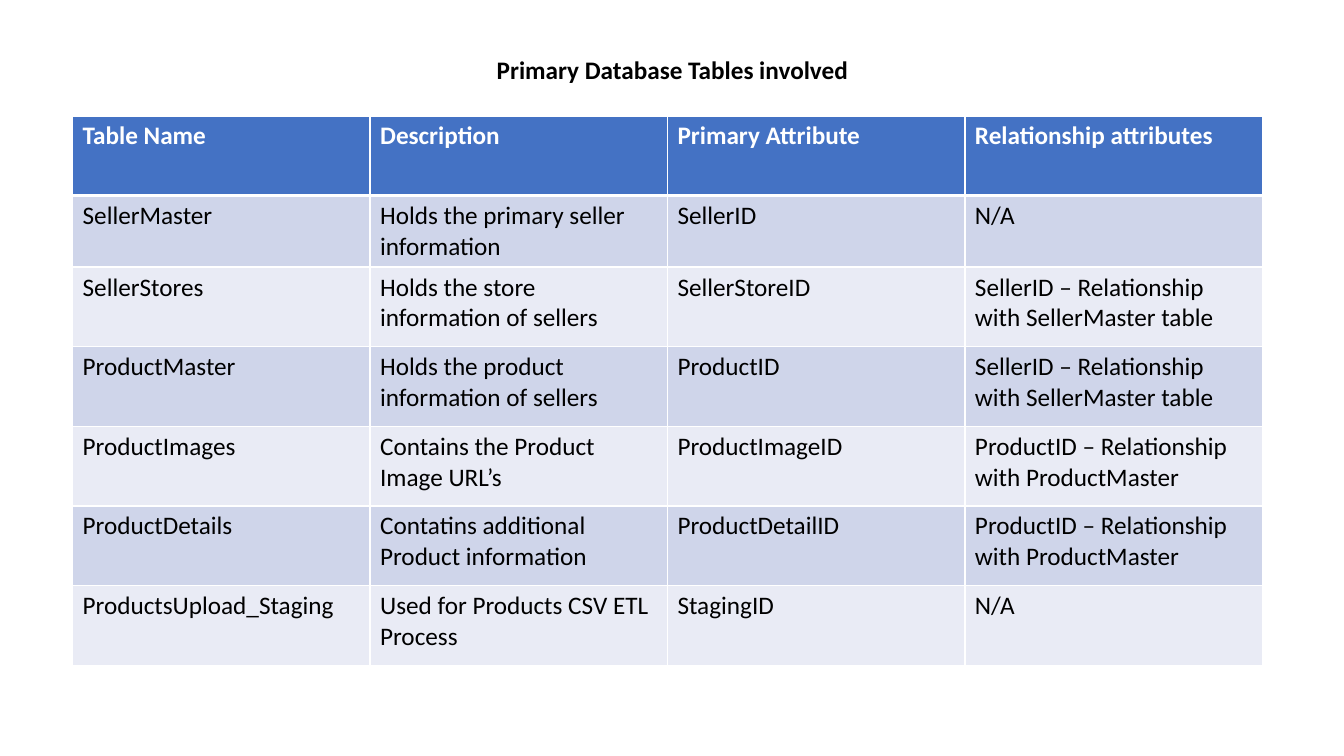
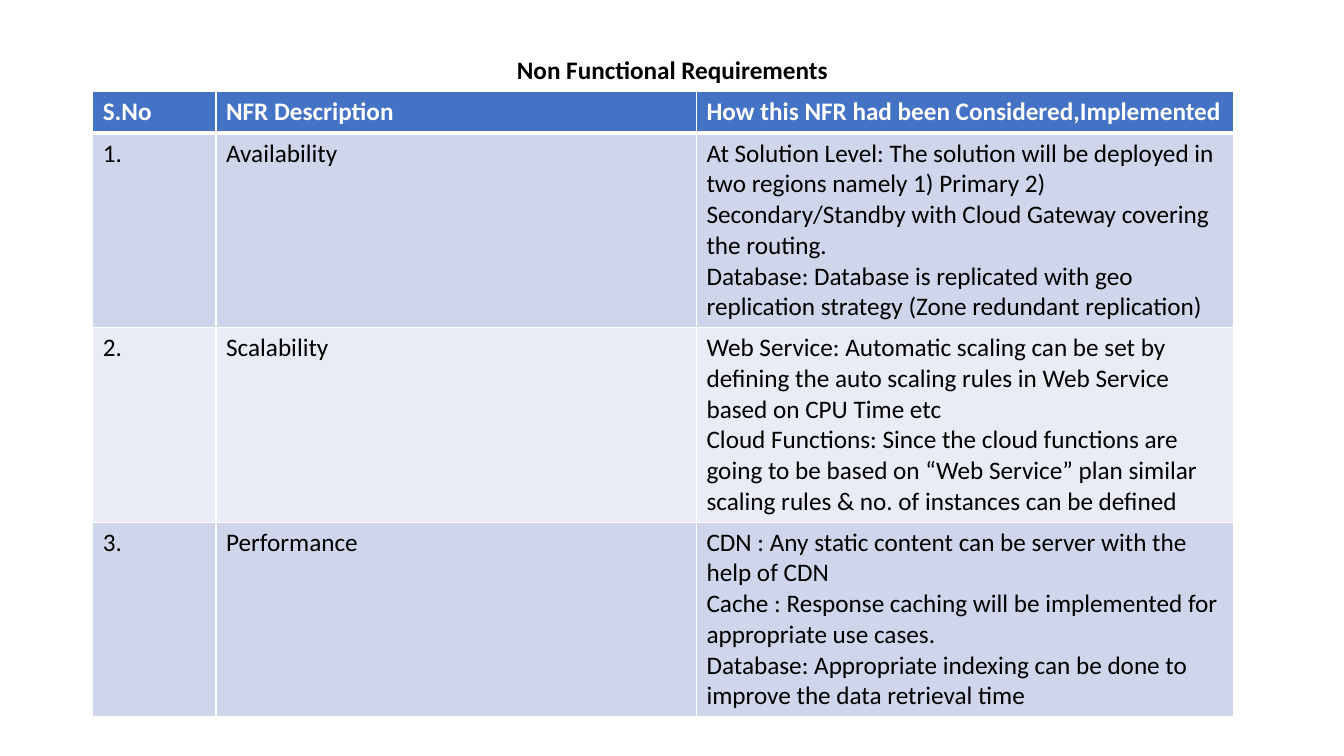
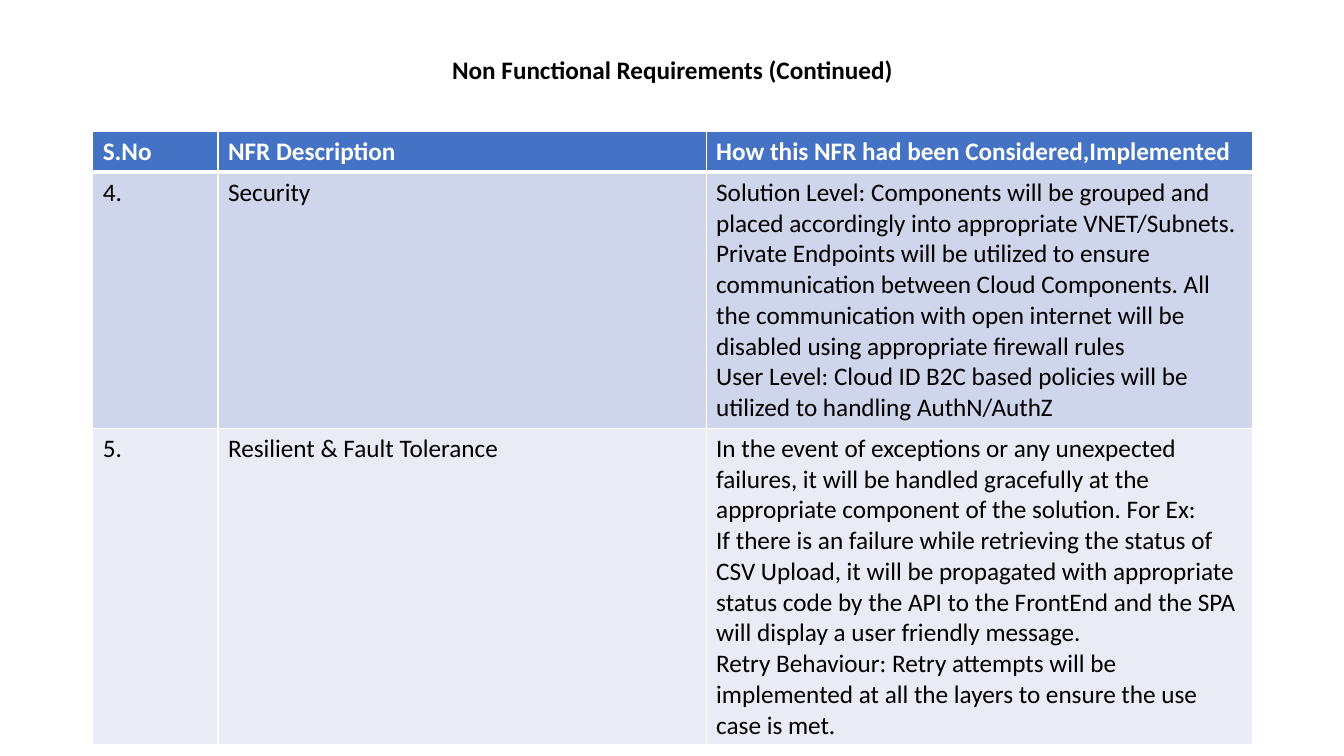
from dataclasses import dataclass

from lxml import etree
from pptx import Presentation
from pptx import util as u
from pptx.dml.color import RGBColor
from pptx.enum import text
from pptx.oxml import ns


@dataclass(frozen=True)
class Theme:
    font: str = "Calibri"
    size: int = 18
    ink: str = "000000"
    paper: str = "FFFFFF"
    header: str = "4472C4"
    bands: tuple = ("CFD5EA", "E9EBF5")
    rule: float = 1
    header_rule: float = 3


THEME = Theme()
SLIDE_W, SLIDE_H = 13.33, 7.5
TITLE_BOX = (0.92, 0.4, 11.5, 0.61)
HEADER_H = 0.41
NFR_SHARES = (0.108, 0.421, 0.471)
NFR_HEADER = ("S.No", "NFR Description", "How this NFR had been Considered,Implemented")

DATABASE_ROWS = [
    ("Table Name", "Description", "Primary Attribute", "Relationship attributes"),
    ("SellerMaster", "Holds the primary seller information", "SellerID", "N/A"),
    ("SellerStores", "Holds the store information of sellers", "SellerStoreID",
     "SellerID – Relationship with SellerMaster table"),
    ("ProductMaster", "Holds the product information of sellers", "ProductID",
     "SellerID – Relationship with SellerMaster table"),
    ("ProductImages", "Contains the Product Image URL’s", "ProductImageID",
     "ProductID – Relationship with ProductMaster"),
    ("ProductDetails", "Contatins additional Product information", "ProductDetailID",
     "ProductID – Relationship with ProductMaster"),
    ("ProductsUpload_Staging", "Used for Products CSV ETL Process", "StagingID", "N/A"),
]

NFR_ROWS = [
    NFR_HEADER,
    ("1.", "Availability",
     "At Solution Level: The solution will be deployed in two regions namely 1) Primary "
     "2) Secondary/Standby with Cloud Gateway covering the routing.\n"
     "Database: Database is replicated with geo replication strategy "
     "(Zone redundant replication)"),
    ("2.", "Scalability",
     "Web Service: Automatic scaling can be set by defining the auto scaling rules in "
     "Web Service based on CPU Time etc\n"
     "Cloud Functions: Since the cloud functions are going to be based on “Web Service” "
     "plan similar scaling rules & no. of instances can be defined"),
    ("3.", "Performance",
     "CDN : Any static content can be server with the help of CDN\n"
     "Cache : Response caching will be implemented for appropriate use cases.\n"
     "Database: Appropriate indexing can be done to improve the data retrieval time"),
]

NFR_CONTINUED_ROWS = [
    NFR_HEADER,
    ("4.", "Security",
     "Solution Level: Components will be grouped and placed accordingly into appropriate "
     "VNET/Subnets.\n"
     "Private Endpoints will be utilized to ensure communication between Cloud Components. "
     "All the communication with open internet will be disabled using appropriate "
     "firewall rules\n"
     "User Level: Cloud ID B2C based policies will be utilized to handling AuthN/AuthZ"),
    ("5.", "Resilient & Fault Tolerance",
     "In the event of exceptions or any unexpected failures, it will be handled gracefully "
     "at the appropriate component of the solution. For Ex:\n"
     "If there is an failure while retrieving the status of CSV Upload, it will be "
     "propagated with appropriate status code by the API to the FrontEnd and the SPA will "
     "display a user friendly message.\n"
     "Retry Behaviour: Retry attempts will be implemented at all the layers to ensure the "
     "use case is met."),
]


def write(frame, content, color=THEME.ink, bold=False, align=None, spacing=None):
    """Fill a text frame, one paragraph per line of content."""
    frame.word_wrap = True
    for index, line in enumerate(content.split("\n")):
        paragraph = frame.add_paragraph() if index else frame.paragraphs[0]
        paragraph.alignment = align
        paragraph.line_spacing = spacing
        run = paragraph.add_run()
        run.text = line
        run.font.name = THEME.font
        run.font.size = u.Pt(THEME.size)
        run.font.bold = bold
        run.font.color.rgb = RGBColor.from_string(color)


def add_title(slide, box, title):
    frame = slide.shapes.add_textbox(*map(u.Inches, box)).text_frame
    frame.vertical_anchor = text.MSO_ANCHOR.MIDDLE
    write(frame, title, bold=True, align=text.PP_ALIGN.CENTER, spacing=0.9)


def set_borders(cell, **widths):
    """Draw the cell's edges; keys L, R, T, B in that order, values in points."""
    properties = cell._tc.get_or_add_tcPr()
    for edge, width in widths.items():
        line = etree.SubElement(properties, ns.qn(f"a:ln{edge}"), w=str(u.Pt(width)))
        fill = etree.SubElement(line, ns.qn("a:solidFill"))
        etree.SubElement(fill, ns.qn("a:srgbClr"), val=THEME.paper)


def add_banded_table(slide, box, rows, shares, heights):
    """Place a table whose columns take the given shares of the box's width."""
    left, top, width = box
    frame = slide.shapes.add_table(
        len(rows), len(shares), *map(u.Inches, (left, top, width, sum(heights))))
    table = frame.table
    table.horz_banding = False
    for column, share in zip(table.columns, shares):
        column.width = u.Inches(width * share)
    for index, (row, height, entries) in enumerate(zip(table.rows, heights, rows)):
        row.height = u.Inches(height)
        is_header = index == 0
        fill = THEME.header if is_header else THEME.bands[(index - 1) % 2]
        above = THEME.header_rule if index == 1 else THEME.rule
        below = THEME.header_rule if is_header else THEME.rule
        for cell, entry in zip(row.cells, entries):
            set_borders(cell, L=THEME.rule, R=THEME.rule, T=above, B=below)
            cell.fill.solid()
            cell.fill.fore_color.rgb = RGBColor.from_string(fill)
            write(cell.text_frame, entry, bold=is_header,
                  color=THEME.paper if is_header else THEME.ink)


def add_table_slide(deck, title, box, rows, shares, heights):
    slide = deck.slides.add_slide(deck.slide_layouts[6])
    add_title(slide, TITLE_BOX, title)
    add_banded_table(slide, box, rows, shares, heights)


def main():
    deck = Presentation()
    deck.slide_width, deck.slide_height = u.Inches(SLIDE_W), u.Inches(SLIDE_H)
    add_table_slide(deck, "Primary Database Tables involved", (0.72, 1.15, 11.8),
                    DATABASE_ROWS, [1 / 4] * 4, [0.79, 0.71] + [0.79] * 5)
    add_table_slide(deck, "Non Functional Requirements", (0.92, 0.91, 11.32),
                    NFR_ROWS, NFR_SHARES, [HEADER_H] + [1.93] * 3)
    add_table_slide(deck, "Non Functional Requirements (Continued)", (0.92, 1.3, 11.5),
                    NFR_CONTINUED_ROWS, NFR_SHARES, [HEADER_H, 2.54, 3.14])
    deck.save("out.pptx")


if __name__ == "__main__":
    main()
